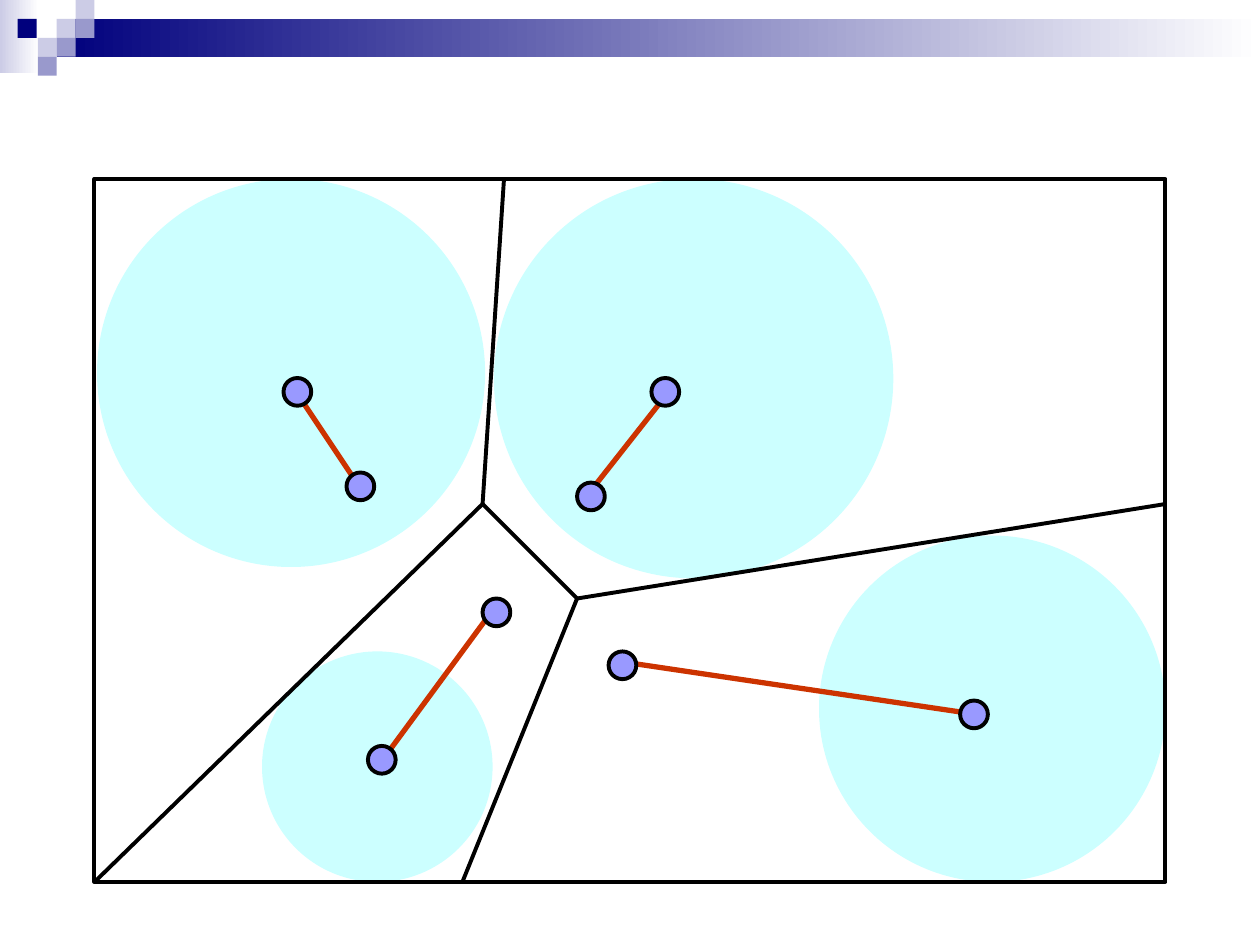
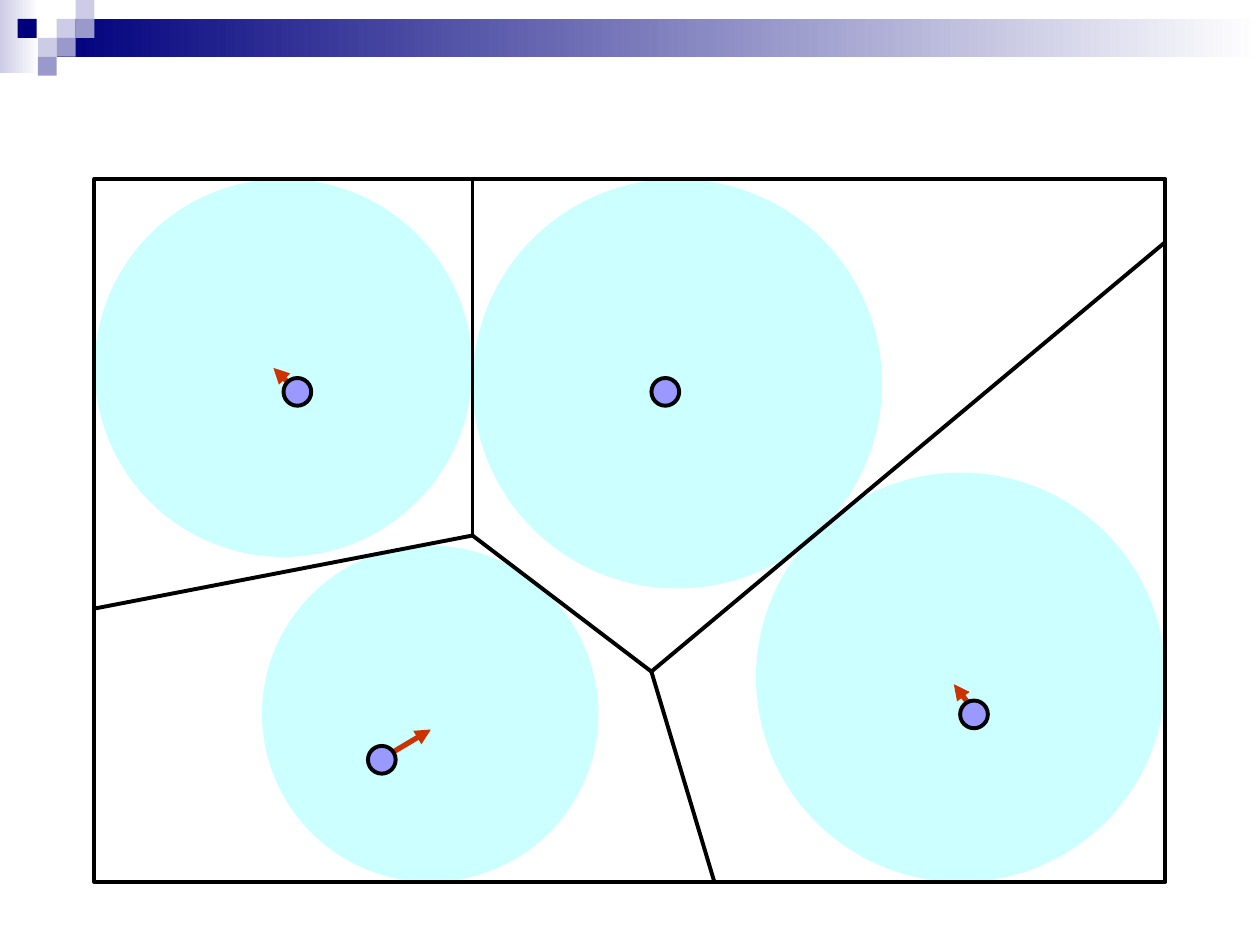
from lxml.etree import SubElement
from pptx import Presentation
from pptx.dml.color import RGBColor
from pptx.enum.shapes import MSO_CONNECTOR, MSO_SHAPE
from pptx.oxml.ns import qn
from pptx.util import Inches, Pt

COLORS = {
    "white": "FFFFFF", "black": "000000", "navy": "00007D",
    "pale": "CCCCE6", "mid": "9999CC",
    "disc": "CCFFFF", "site": "9999FF", "move": "CC3300",
}
TILE = 0.15
TILES = [
    (0.45, 0.15, "pale"), (0.6, 0, "pale"), (0.6, 0.15, "mid"),
    (0.3, 0.3, "pale"), (0.14, 0.15, "navy"), (0.45, 0.3, "mid"),
    (0.3, 0.45, "mid"),
]
FRAME = (0.75, 1.42, 8.5, 5.58)
SITE = 0.22
SITES = [(2.92, 5.92), (2.25, 3), (5.17, 3), (7.62, 5.56)]

# Discs are (left, top, diameter); edges and moves are (start, end).
FIRST = {
    "discs": [(2.08, 5.17, 1.83), (0.77, 1.42, 3.08),
              (6.5, 4.25, 2.75), (3.92, 1.42, 3.17)],
    "edges": [((4.58, 4.75), (3.67, 7)), ((4.58, 4.75), (9.25, 4)),
              ((3.83, 4), (4, 1.42)), ((3.83, 4), (0.75, 7)),
              ((3.83, 4), (4.58, 4.75))],
    "moves": [((4.67, 3.92), (5.33, 3.08)), ((4.92, 5.25), (7.75, 5.67)),
              ((3.92, 4.83), (3, 6.08)), ((2.83, 3.83), (2.33, 3.08))],
    "sites": [(3.83, 4.75), (2.75, 3.75), (4.58, 3.83), (4.83, 5.17)] + SITES,
}
SECOND = {
    "discs": [(2.08, 4.33, 2.67), (3.75, 1.42, 3.25),
              (0.75, 1.42, 3), (6, 3.75, 3.25)],
    "edges": [((3.75, 4.25), (3.75, 1.42)), ((3.75, 4.25), (0.75, 4.83)),
              ((5.17, 5.33), (9.25, 1.92)), ((5.17, 5.33), (5.67, 7)),
              ((3.75, 4.25), (5.17, 5.33))],
    "moves": [((3, 6.04), (3.42, 5.79)), ((2.33, 3.08), (2.17, 2.92)),
              ((7.73, 5.64), (7.57, 5.43))],
    "sites": SITES,
}


def color(name):
    return RGBColor.from_string(COLORS[name])


def add_form(slide, kind, box, fill=None, line=None):
    form = slide.shapes.add_shape(kind, *map(Inches, box))
    form.shadow.inherit = False
    if fill:
        form.fill.solid()
        form.fill.fore_color.rgb = color(fill)
    else:
        form.fill.background()
    if line:
        form.line.color.rgb = color(line)
        form.line.width = Pt(2.25)
    else:
        form.line.fill.background()
    return form


def add_fade(slide, box, name):
    """Add a band that fades from the named colour at left to white."""
    fill = add_form(slide, MSO_SHAPE.RECTANGLE, box).fill
    fill.gradient()
    fill.gradient_angle = 180
    for stop, tint in zip(fill.gradient_stops, ("white", name)):
        stop.color.rgb = color(tint)


def add_line(slide, start, end, name, width, arrow=False):
    line = slide.shapes.add_connector(
        MSO_CONNECTOR.STRAIGHT, *map(Inches, start + end))
    line.line.color.rgb = color(name)
    line.line.width = Pt(width)
    if arrow:
        SubElement(line.line._get_or_add_ln(), qn("a:tailEnd"), type="triangle")
    SubElement(line._element.spPr, qn("a:effectLst"))


def add_header(slide):
    add_fade(slide, (0, 0, 0.31, 0.58), "pale")
    add_fade(slide, (0.45, 0.15, 9.55, 0.3), "navy")
    for x, y, name in TILES:
        add_form(slide, MSO_SHAPE.RECTANGLE, (x, y, TILE, TILE), name)


def add_cells(slide, cells):
    """Draw the framed diagram: discs, cell edges, moves and sites."""
    for x, y, size in cells["discs"]:
        add_form(slide, MSO_SHAPE.OVAL, (x, y, size, size), "disc")
    add_form(slide, MSO_SHAPE.RECTANGLE, FRAME, line="black")
    for start, end in cells["edges"]:
        add_line(slide, start, end, "black", 2.25)
    for start, end in cells["moves"]:
        add_line(slide, start, end, "move", 3, arrow=True)
    for x, y in cells["sites"]:
        add_form(slide, MSO_SHAPE.OVAL, (x, y, SITE, SITE), "site", "black")


def main():
    deck = Presentation()
    deck.slide_width, deck.slide_height = Inches(10), Inches(7.5)
    for cells in (FIRST, SECOND):
        slide = deck.slides.add_slide(deck.slide_layouts[6])
        add_header(slide)
        add_cells(slide, cells)
    deck.save("out.pptx")


if __name__ == "__main__":
    main()
